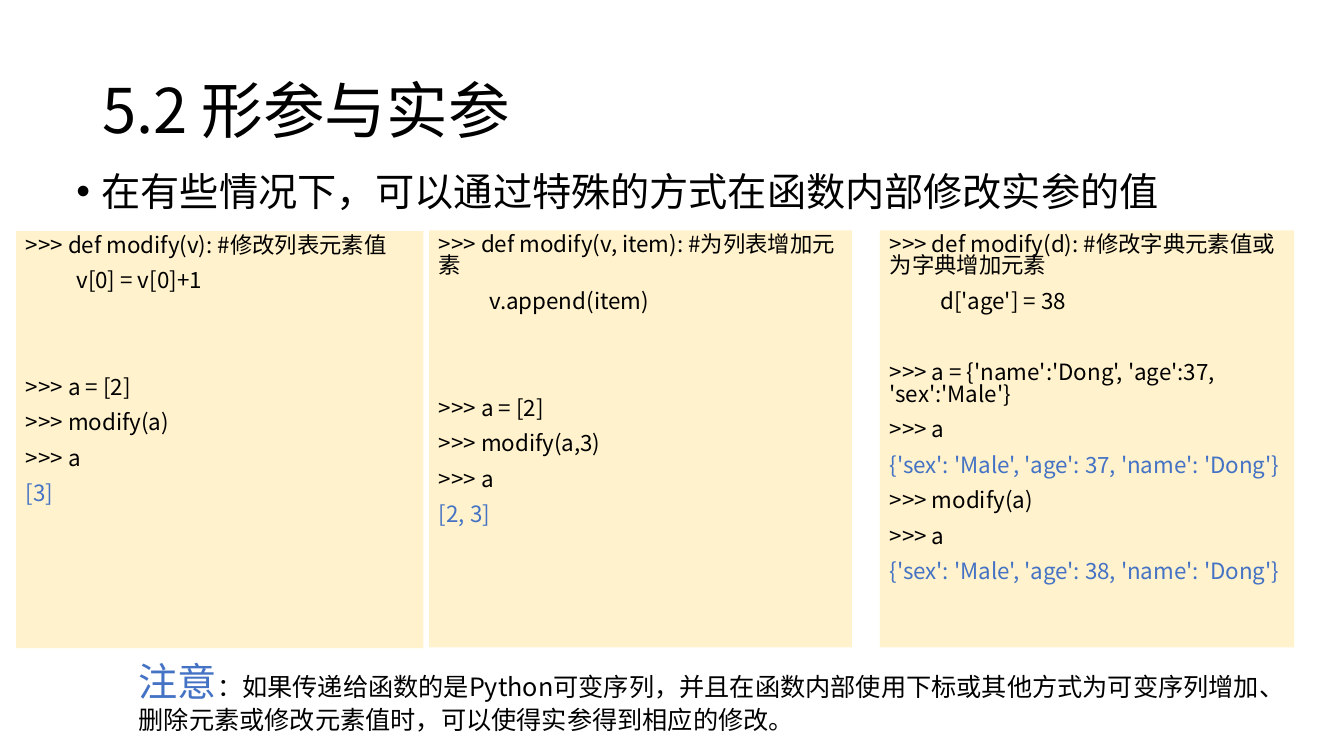
"""Build the slide on formal and actual parameters."""
from pptx import Presentation
from pptx.dml.color import RGBColor
from pptx.enum.shapes import MSO_SHAPE
from pptx.enum.text import MSO_ANCHOR, PP_ALIGN
from pptx.oxml.ns import qn
from pptx.util import Pt
from lxml import etree

RECT = MSO_SHAPE.RECTANGLE
TOP, MIDDLE, LEFT = MSO_ANCHOR.TOP, MSO_ANCHOR.MIDDLE, PP_ALIGN.LEFT
FONT = "Noto Sans CJK SC"
COLORS = {"text": "000000", "accent": "4472C4", "panel": "FFF2CC"}
CODE_SIZE, CODE_GAP, BLANK_LINE = 16, 10, 25.4

TITLE = "5.2 形参与实参"
BULLET = "在有些情况下，可以通过特殊的方式在函数内部修改实参的值"
NOTE = [
    ("注意", 28, "accent"),
    ("：如果传递给函数的是Python可变序列，并且在函数内部使用下标或其他方式为可变序列增加、"
     "删除元素或修改元素值时，可以使得实参得到相应的修改。", 18, "text"),
]
PANELS = [
    {"box": (11.5, 165, 291, 298), "blank_lines": 2,
     "define": [">>> def modify(v): #修改列表元素值", "\tv[0] = v[0]+1"],
     "run": [">>> a = [2]", ">>> modify(a)", ">>> a", "[3]"]},
    {"box": (306.5, 164.5, 302, 298), "blank_lines": 2,
     "define": [">>> def modify(v, item): #为列表增加元素", "\tv.append(item)"],
     "run": [">>> a = [2]", ">>> modify(a,3)", ">>> a", "[2, 3]"]},
    {"box": (628.5, 164.5, 296, 298), "blank_lines": 1,
     "define": [">>> def modify(d): #修改字典元素值或为字典增加元素", "\td['age'] = 38"],
     "run": [">>> a = {'name':'Dong', 'age':37, 'sex':'Male'}", ">>> a",
             "{'sex': 'Male', 'age': 37, 'name': 'Dong'}", ">>> modify(a)", ">>> a",
             "{'sex': 'Male', 'age': 38, 'name': 'Dong'}"]},
]


def add_run(p, text, size, color="text"):
    r = p.add_run()
    r.text = text
    for name, value in {"size": Pt(size), "name": FONT}.items():
        setattr(r.font, name, value)
    r.font.color.rgb = RGBColor.from_string(COLORS[color])
    etree.SubElement(r.font._element, qn("a:ea"), typeface=FONT)


def format_paragraph(p, **formats):
    for name, value in formats.items():
        setattr(p, name, value)


def add_text(s, box, anchor=TOP):
    tf = s.shapes.add_textbox(*map(Pt, box)).text_frame
    tf.word_wrap = True
    tf.vertical_anchor = anchor
    return tf.paragraphs[0]


def add_panel(s, panel):
    sp = s.shapes.add_shape(RECT, *map(Pt, panel["box"]))
    sp.shadow.inherit = False
    sp.fill.solid()
    sp.fill.fore_color.rgb = RGBColor.from_string(COLORS["panel"])
    sp.line.fill.background()
    tf = sp.text_frame
    tf.word_wrap = True
    tf.vertical_anchor = TOP
    lines = panel["define"] + panel["run"]
    for i, line in enumerate(lines):
        p = tf.add_paragraph() if i else tf.paragraphs[0]
        blanks = panel["blank_lines"] if i == len(panel["define"]) else 0
        format_paragraph(p, alignment=LEFT, line_spacing=0.8,
                         space_before=Pt(CODE_GAP + blanks * BLANK_LINE))
        is_code = line.startswith((">>>", "\t"))
        add_run(p, line, CODE_SIZE, "text" if is_code else "accent")


def main():
    prs = Presentation()
    prs.slide_width, prs.slide_height = Pt(960), Pt(540)
    s = prs.slides.add_slide(prs.slide_layouts[6])

    p = add_text(s, (66, 28.75, 828, 104.5), MIDDLE)
    format_paragraph(p, line_spacing=0.9)
    add_run(p, TITLE, 44)

    p = add_text(s, (47.5, 119.5, 828, 45.5))
    format_paragraph(p, line_spacing=0.9, space_before=Pt(10))
    pPr = p._p.get_or_add_pPr()
    pPr.set("marL", str(Pt(18)))
    pPr.set("indent", str(-Pt(18)))
    etree.SubElement(pPr, qn("a:buFont"), typeface="Arial")
    etree.SubElement(pPr, qn("a:buChar"), char="•")
    add_run(p, BULLET, 28)

    for panel in PANELS:
        add_panel(s, panel)

    p = add_text(s, (92, 466, 832.5, 63.5))
    for text, size, color in NOTE:
        add_run(p, text, size, color)

    prs.save("out.pptx")


if __name__ == "__main__":
    main()
